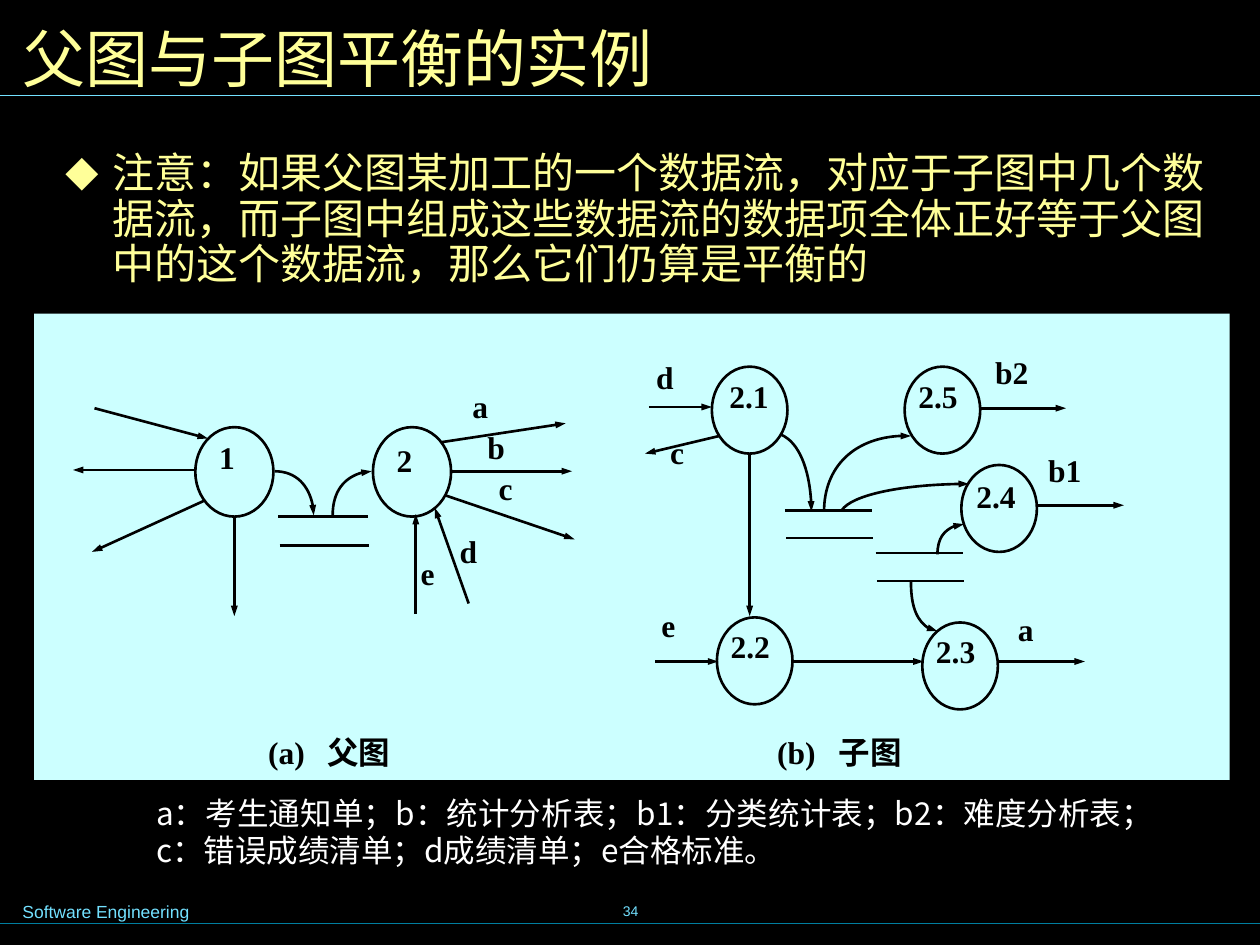
from dataclasses import dataclass

from lxml.etree import SubElement
from pptx import Presentation
from pptx.dml.color import RGBColor
from pptx.enum.shapes import MSO_CONNECTOR, MSO_SHAPE
from pptx.enum.text import MSO_ANCHOR, PP_ALIGN
from pptx.oxml.ns import qn
from pptx.util import Emu, Pt

PX = 9144


@dataclass(frozen=True)
class Theme:
    background: str = "000000"
    panel: str = "CCFFFF"
    ink: str = "000000"
    heading: str = "FFFF99"
    accent: str = "73E1FF"
    footer_rule: str = "007E9F"
    legend: str = "FFFFFF"
    title_font: str = "Arial Narrow"
    body_font: str = "Arial"
    diagram_font: str = "Times New Roman"
    legend_font: str = "Noto Sans CJK SC"
    title_size: int = 36
    body_size: int = 24
    diagram_size: int = 18
    footer_size: int = 10
    number_size: int = 8
    flow_width: float = 1.5
    rule_width: float = 0.75


class Canvas:
    def __init__(self, slide, theme):
        self.slide = slide
        self.theme = theme
        slide.background.fill.solid()
        slide.background.fill.fore_color.rgb = RGBColor.from_string(theme.background)

    def text(self, wording, box, font, size, color, bold=False,
             align=PP_ALIGN.LEFT, anchor=MSO_ANCHOR.TOP, wrap=True):
        frame = self.slide.shapes.add_textbox(*(Emu(v * PX) for v in box)).text_frame
        frame.word_wrap = wrap
        frame.vertical_anchor = anchor
        frame.text = wording
        paragraph = frame.paragraphs[0]
        paragraph.alignment = align
        run_font = paragraph.runs[0].font
        run_font.name = font
        run_font.size = Pt(size)
        run_font.bold = bold
        run_font.color.rgb = RGBColor.from_string(color)
        return frame

    def bullet(self, wording, box, indent):
        theme = self.theme
        frame = self.text(wording, box, theme.body_font, theme.body_size, theme.heading)
        frame.margin_left = frame.margin_right = Emu(12 * PX)
        frame.margin_top = frame.margin_bottom = Emu(6 * PX)
        paragraph = frame.paragraphs[0]
        paragraph.line_spacing = 0.9
        properties = paragraph._p.get_or_add_pPr()
        properties.set("marL", str(indent * PX))
        properties.set("indent", str(-indent * PX))
        bullet_color = SubElement(properties, qn("a:buClr"))
        SubElement(bullet_color, qn("a:srgbClr"), val=theme.heading)
        SubElement(properties, qn("a:buSzPct"), val="80000")
        SubElement(properties, qn("a:buFont"), typeface=theme.legend_font)
        SubElement(properties, qn("a:buChar"), char="◆")

    def label(self, wording, x, y, width=62, tab=None):
        theme = self.theme
        frame = self.text(wording, (x, y, width, 60), theme.diagram_font,
                          theme.diagram_size, theme.ink, bold=True)
        if tab:
            properties = frame.paragraphs[0]._p.get_or_add_pPr()
            stops = SubElement(properties, qn("a:tabLst"))
            SubElement(stops, qn("a:tab"), pos=str(tab * PX), algn="l")

    def panel(self, box):
        shape = self.slide.shapes.add_shape(MSO_SHAPE.RECTANGLE, *(Emu(v * PX) for v in box))
        shape.shadow.inherit = False
        shape.fill.solid()
        shape.fill.fore_color.rgb = RGBColor.from_string(self.theme.panel)
        shape.line.fill.background()

    def process(self, name, x, y, size, dx, dy):
        ellipse = self.slide.shapes.add_shape(
            MSO_SHAPE.OVAL, *(Emu(v * PX) for v in (x, y, *size)))
        ellipse.shadow.inherit = False
        ellipse.fill.background()
        self.stroke(ellipse.line, self.theme.ink, self.theme.flow_width)
        self.label(name, x + dx, y + dy)

    def stroke(self, line, color, width, arrow=False):
        line.color.rgb = RGBColor.from_string(color)
        line.width = Pt(width)
        if arrow:
            SubElement(line._get_or_add_ln(), qn("a:tailEnd"), type="triangle", w="sm")

    def line(self, start, end, color, width, arrow=False):
        connector = self.slide.shapes.add_connector(
            MSO_CONNECTOR.STRAIGHT, *(Emu(v * PX) for v in (*start, *end)))
        self.stroke(connector.line, color, width, arrow)
        SubElement(connector._element.spPr, qn("a:effectLst"))

    def flow(self, start, end):
        self.line(start, end, self.theme.ink, self.theme.flow_width, arrow=True)

    def store(self, x, y, width, gap):
        for left, top in ((x, y), (x + 1, y + gap)):
            self.line((left, top), (left + width, top), self.theme.ink, self.theme.flow_width)

    def curve(self, start, *controls_and_end):
        builder = self.slide.shapes.build_freeform(*start, scale=PX)
        builder.add_line_segments(controls_and_end, close=False)
        shape = builder.convert_to_shape()
        outline = shape._element.spPr.find(".//" + qn("a:path"))
        bezier = SubElement(outline, qn("a:cubicBezTo"))
        for segment in outline.findall(qn("a:lnTo")):
            bezier.append(segment[0])
            outline.remove(segment)
        shape.shadow.inherit = False
        shape.fill.background()
        self.stroke(shape.line, self.theme.ink, self.theme.flow_width, arrow=True)


def draw_parent(canvas):
    for name, x, dx, dy in (("1", 155, 9, 4), ("2", 296, 9, 6)):
        canvas.process(name, x, 339, (62, 71), dx, dy)
    canvas.store(221, 410, 71, 23)
    canvas.curve((218, 374), (235, 374), (249, 389), (249, 409))
    canvas.curve((264, 409), (264, 389), (278, 374), (295, 374))
    for start, end in (
        ((75, 324), (165, 348)), ((155, 373), (58, 373)),
        ((163, 397), (73, 438)), ((186, 410), (186, 489)),
        ((350, 351), (449, 336)), ((357, 374), (454, 374)),
        ((353, 393), (456, 428)), ((372, 479), (345, 403)),
        ((330, 487), (330, 408)),
    ):
        canvas.flow(start, end)
    for name, x, y in (("a", 365, 302), ("b", 377, 335), ("c", 386, 367),
                       ("d", 355, 417), ("e", 324, 435)):
        canvas.label(name, x, y)
    canvas.label("(a)\t父图", 203, 577, 167, tab=47)


def draw_child(canvas):
    for name, x, y, dx, dy in (
        ("2.1", 565, 291, 4, 3), ("2.2", 569, 490, 1, 3), ("2.3", 732, 494, 1, 3),
        ("2.4", 763, 369, 2, 5), ("2.5", 718, 291, 1, 3),
    ):
        canvas.process(name, x, y, (60, 69), dx, dy)
    for x, y in ((623, 405), (695, 439)):
        canvas.store(x, y, 69, 22)
    for points in (
        ((654, 406), (654, 370), (682, 344), (723, 346)),
        ((668, 405), (676, 393), (718, 384), (769, 384)),
        ((620, 345), (634, 351), (644, 376), (644, 406)),
        ((744, 440), (744, 427), (753, 416), (765, 416)),
        ((723, 462), (723, 484), (733, 501), (744, 501)),
    ):
        canvas.curve(*points)
    for start, end in (
        ((515, 323), (565, 323)), ((571, 346), (512, 360)),
        ((595, 360), (595, 489)), ((520, 525), (570, 525)),
        ((629, 525), (733, 525)), ((793, 525), (861, 525)),
        ((824, 401), (892, 401)), ((778, 324), (846, 324)),
    ):
        canvas.flow(start, end)
    for name, x, y in (("a", 798, 479), ("b1", 822, 353), ("b2", 780, 275),
                       ("c", 522, 339), ("d", 511, 279), ("e", 515, 476)):
        canvas.label(name, x, y)
    canvas.label("(b)\t子图", 607, 577, 167, tab=49)


def main():
    deck = Presentation()
    deck.slide_width, deck.slide_height = Emu(1000 * PX), Emu(750 * PX)
    theme = Theme()
    canvas = Canvas(deck.slides.add_slide(deck.slide_layouts[6]), theme)
    canvas.text("34", (342, 698, 317, 50), theme.body_font, theme.number_size, theme.accent,
                align=PP_ALIGN.CENTER, anchor=MSO_ANCHOR.MIDDLE, wrap=False)
    canvas.line((0, 733), (1004, 733), theme.footer_rule, theme.rule_width)
    canvas.line((0, 76), (1000, 76), theme.accent, theme.rule_width)
    canvas.text("Software Engineering", (8, 710, 295, 27), theme.body_font,
                theme.footer_size, theme.accent)
    canvas.panel((27, 249, 949, 370))
    canvas.text("父图与子图平衡的实例", (8, 8, 984, 75), theme.title_font,
                theme.title_size, theme.heading, anchor=MSO_ANCHOR.MIDDLE)
    canvas.bullet("注意：如果父图某加工的一个数据流，对应于子图中几个数据流，"
                  "而子图中组成这些数据流的数据项全体正好等于父图中的这个数据流，"
                  "那么它们仍算是平衡的", (40, 115, 929, 169), 37)
    draw_child(canvas)
    draw_parent(canvas)
    canvas.text("a：考生通知单；b：统计分析表；b1：分类统计表；b2：难度分析表；"
                "c：错误成绩清单；d成绩清单；e合格标准。", (114, 625, 811, 77),
                theme.legend_font, theme.diagram_size, theme.legend, align=PP_ALIGN.JUSTIFY)
    deck.save("out.pptx")


if __name__ == "__main__":
    main()
